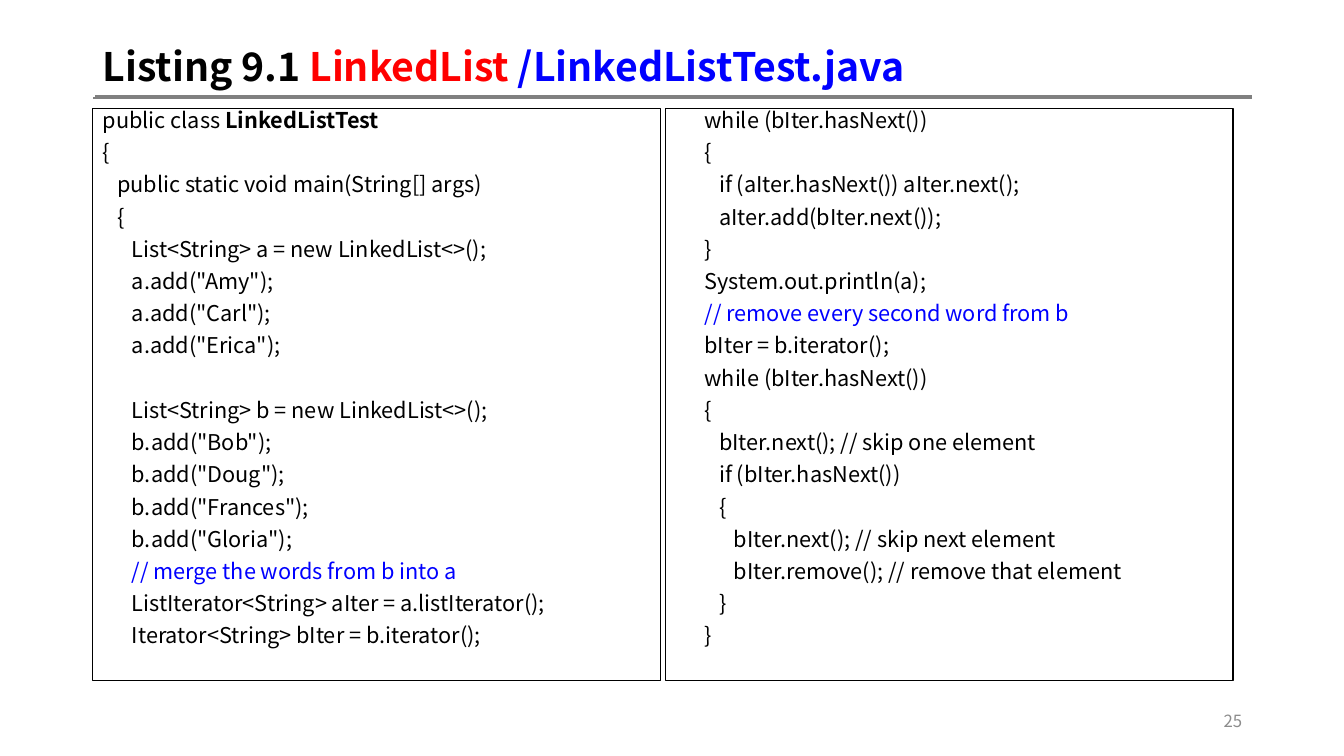
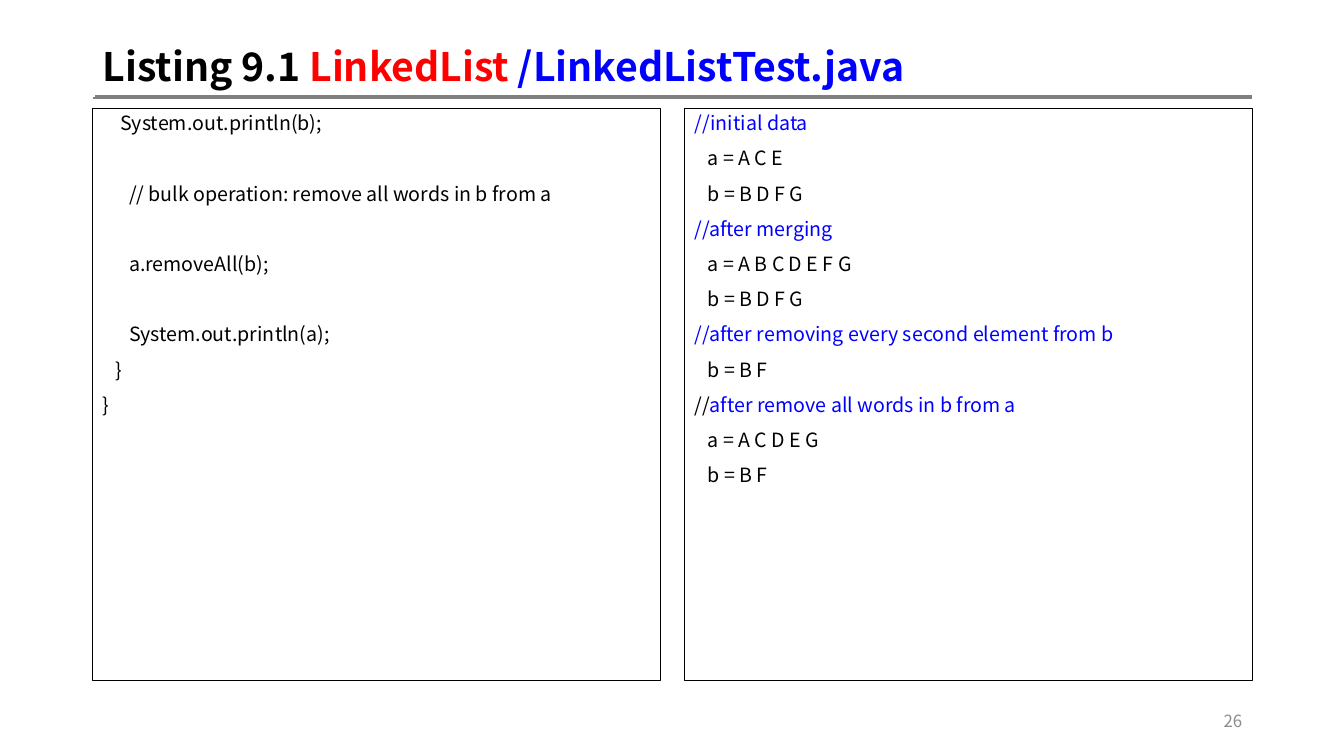
from dataclasses import dataclass

from lxml import etree
from pptx import Presentation
from pptx.dml.color import RGBColor
from pptx.enum.shapes import MSO_CONNECTOR, MSO_SHAPE
from pptx.enum.text import MSO_ANCHOR, MSO_AUTO_SIZE, PP_ALIGN
from pptx.oxml.ns import qn
from pptx.util import Inches, Pt

STRAIGHT, RECTANGLE = MSO_CONNECTOR.STRAIGHT, MSO_SHAPE.RECTANGLE
TOP, MIDDLE = MSO_ANCHOR.TOP, MSO_ANCHOR.MIDDLE
LEFT, RIGHT = PP_ALIGN.LEFT, PP_ALIGN.RIGHT


@dataclass(frozen=True)
class Theme:
    font: str = "Noto Sans CJK KR"
    ink: str = "000000"
    red: str = "FF0000"
    blue: str = "0000FF"
    rule: str = "808080"
    paper: str = "FFFFFF"
    page_grey: str = "8C8C8C"
    title_size: float = 28
    page_size: float = 12
    paragraph_gap: float = 10
    space_width: float = 0.224  # share of the type size
    line_height: float = 1.2    # share of the type size


theme = Theme()
STYLES = {
    "red": {"color": theme.red},
    "blue": {"color": theme.blue},
    "strong": {"bold": True},
}

WIDTH, HEIGHT = 13.33, 7.5
MARGIN = 0.92
CONTENT_RIGHT = 12.42
CONTENT_WIDTH = CONTENT_RIGHT - MARGIN
RULE_TOP, RULE_Y = 0.36, 0.96
PANEL_TOP, PANEL_WIDTH, PANEL_HEIGHT = 1.08, 5.63, 5.67

TITLE = "Listing 9.1 ~red:LinkedList~blue: /LinkedListTest.java"

SETUP_CODE = """\
public class ~strong:LinkedListTest
{
   public static void main(String[] args)
   {
      List<String> a = new LinkedList<>();
      a.add("Amy");
      a.add("Carl");
      a.add("Erica");

      List<String> b = new LinkedList<>();
      b.add("Bob");
      b.add("Doug");
      b.add("Frances");
      b.add("Gloria");
      ~blue:// merge the words from b into a
      ListIterator<String> aIter = a.listIterator();
      Iterator<String> bIter = b.iterator();"""

LOOP_CODE = """\
      while (bIter.hasNext())
      {
         if (aIter.hasNext()) aIter.next();
         aIter.add(bIter.next());
      }
      System.out.println(a);
      ~blue:// remove every second word from b
      bIter = b.iterator();
      while (bIter.hasNext())
      {
         bIter.next(); // skip one element
         if (bIter.hasNext())
         {
            bIter.next(); // skip next element
            bIter.remove(); // remove that element
         }
      }"""

FINAL_CODE = """\
    System.out.println(b);

      // bulk operation: remove all words in b from a

      a.removeAll(b);

      System.out.println(a);
   }
}"""

LIST_STATES = """\
~blue://initial data
   a = A C E
   b = B D F G
~blue://after merging
   a = A B C D E F G
   b = B D F G
~blue://after removing every second element from b
   b = B F
//~blue:after remove all words in b from a
   a = A C D E G
   b = B F"""

PAGES = [
    {"number": 25, "size": 15.5, "spacing": 0.7, "gap": 0.05,
     "panels": (SETUP_CODE, LOOP_CODE)},
    {"number": 26, "size": 14, "spacing": 0.9,
     "gap": CONTENT_WIDTH - 2 * PANEL_WIDTH,
     "panels": (FINAL_CODE, LIST_STATES)},
]


def add_runs(paragraph, marked_text, size, color=theme.ink, bold=False):
    """Add text in which ~style: starts a run in one of STYLES."""
    plain, *marked = marked_text.split("~")
    runs = [(plain, {})] if plain else []
    for part in marked:
        style, _, text = part.partition(":")
        runs.append((text, STYLES[style]))
    for text, style in runs:
        run = paragraph.add_run()
        run.text = text
        look = {"color": color, "bold": bold, **style}
        for name, value in {"name": theme.font, "size": Pt(size), "bold": look["bold"]}.items():
            setattr(run.font, name, value)
        run.font.color.rgb = RGBColor.from_string(look["color"])


def format_frame(frame, anchor):
    settings = {"word_wrap": True, "auto_size": MSO_AUTO_SIZE.NONE, "vertical_anchor": anchor,
                "margin_left": Inches(0.1), "margin_right": Inches(0.1),
                "margin_top": Inches(0.05), "margin_bottom": Inches(0.05)}
    for name, value in settings.items():
        setattr(frame, name, value)


prs = Presentation()
prs.slide_width, prs.slide_height = Inches(WIDTH), Inches(HEIGHT)
title_only = prs.slide_layouts[5]

for page in PAGES:
    slide = prs.slides.add_slide(title_only)

    # Header rules: the white upright trims the start of the grey line
    for x, y, color in ((CONTENT_RIGHT, RULE_Y, theme.rule), (MARGIN, RULE_TOP, theme.paper)):
        rule = slide.shapes.add_connector(
            STRAIGHT, Inches(MARGIN), Inches(RULE_Y), Inches(x), Inches(y))
        rule.line.color.rgb = RGBColor.from_string(color)
        rule.line.width = Pt(3)
        etree.SubElement(rule._element.spPr, qn("a:effectLst"))

    title = slide.shapes.title
    title.left, title.top = Inches(MARGIN), Inches(0.4)
    title.width, title.height = Inches(CONTENT_WIDTH), Inches(0.56)
    format_frame(title.text_frame, MIDDLE)
    heading = title.text_frame.paragraphs[0]
    heading.alignment, heading.line_spacing = LEFT, 0.9
    add_runs(heading, TITLE, theme.title_size, bold=True)

    size, spacing = page["size"], page["spacing"]
    blank_line = size * theme.line_height * spacing + theme.paragraph_gap
    for column, listing in enumerate(page["panels"]):
        panel = slide.shapes.add_shape(
            RECTANGLE, Inches(MARGIN + column * (PANEL_WIDTH + page["gap"])),
            Inches(PANEL_TOP), Inches(PANEL_WIDTH), Inches(PANEL_HEIGHT))
        panel.shadow.inherit = False
        panel.fill.background()
        panel.line.color.rgb = RGBColor.from_string(theme.ink)
        panel.line.width = Pt(0.75)
        frame = panel.text_frame
        format_frame(frame, TOP)

        paragraph, space_before = frame.paragraphs[0], theme.paragraph_gap
        for row, line in enumerate(listing.splitlines()):
            if not line:
                space_before += blank_line
                continue
            if row:
                paragraph = frame.add_paragraph()
            code = line.lstrip()
            indent = (len(line) - len(code)) * theme.space_width * size
            paragraph.alignment, paragraph.line_spacing = LEFT, spacing
            paragraph.space_before = Pt(space_before)
            paragraph._p.get_or_add_pPr().set("marL", str(Pt(indent)))
            add_runs(paragraph, code, size)
            space_before = theme.paragraph_gap

    footer = slide.shapes.add_textbox(
        Inches(CONTENT_RIGHT - 3), Inches(6.95), Inches(3), Inches(0.4))
    format_frame(footer.text_frame, MIDDLE)
    page_number = footer.text_frame.paragraphs[0]
    page_number.alignment = RIGHT
    add_runs(page_number, str(page["number"]), theme.page_size, theme.page_grey)

prs.save("out.pptx")
